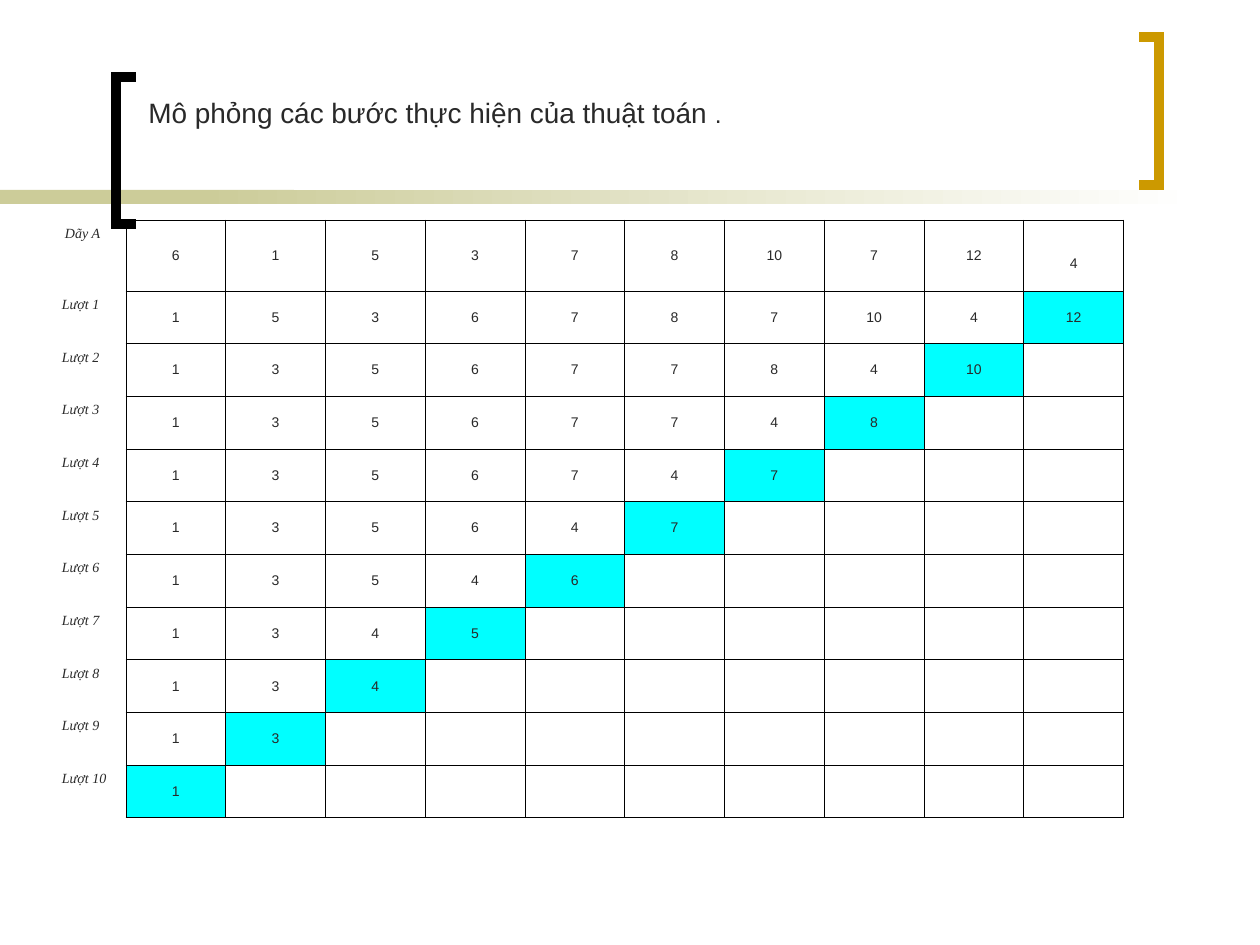
from lxml import etree
from pptx import Presentation, util as u
from pptx.dml.color import RGBColor
from pptx.enum import shapes, text
from pptx.oxml.ns import qn

TITLE = [("Mô phỏng các bước thực hiện của thuật toán ", "title"), (".", "dot")]
ROWS = [
    ("Dãy A", [6, 1, 5, 3, 7, 8, 10, 7, 12, 4]),
    ("Lượt 1", [1, 5, 3, 6, 7, 8, 7, 10, 4, 12]),
    ("Lượt 2", [1, 3, 5, 6, 7, 7, 8, 4, 10]),
    ("Lượt 3", [1, 3, 5, 6, 7, 7, 4, 8]),
    ("Lượt 4", [1, 3, 5, 6, 7, 4, 7]),
    ("Lượt 5", [1, 3, 5, 6, 4, 7]),
    ("Lượt 6", [1, 3, 5, 4, 6]),
    ("Lượt 7", [1, 3, 4, 5]),
    ("Lượt 8", [1, 3, 4]),
    ("Lượt 9", [1, 3]),
    ("Lượt 10", [1]),
]
BARS = [((0, 190, 294, 14), False), ((199, 190, 998, 14), True)]
BRACKETS = [
    ("black", [(136, 224), (116, 224), (116, 77), (136, 77)]),
    ("gold", [(1139, 37), (1159, 37), (1159, 185), (1139, 185)]),
]
THEME = {
    "black": "000000", "gold": "CC9900", "sand": "CCCC99", "white": "FFFFFF",
    "text": "292929", "done": "00FFFF", "title": 16, "dot": 14, "cell": 8,
    "sans": "Arial", "serif": "Times New Roman", "grid": 0.45, "bracket": 6,
}
UNIT = u.Inches(1) / 126


def px(n):
    return u.Emu(round(n * UNIT))


def tone(name):
    return RGBColor.from_string(THEME[name])


def put(obj, **vals):
    for key, val in vals.items():
        setattr(obj, key, val)


def write(para, words, size, font="sans", italic=False):
    run = para.add_run()
    run.text = words
    put(run.font, size=u.Pt(THEME[size]), name=THEME[font], italic=italic)
    run.font.color.rgb = tone("text")


def border(cell, drawn):
    props = cell._tc.get_or_add_tcPr()
    for side in "LRTB":
        line = etree.SubElement(props, qn(f"a:ln{side}"), w=str(u.Pt(THEME["grid"])))
        if side in drawn:
            fill = etree.SubElement(line, qn("a:solidFill"))
            etree.SubElement(fill, qn("a:srgbClr"), val=THEME["black"])
        else:
            etree.SubElement(line, qn("a:noFill"))


def add_bar(slide, box, fade):
    bar = slide.shapes.add_shape(shapes.MSO_SHAPE.RECTANGLE, *map(px, box))
    bar.shadow.inherit = False
    bar.line.fill.background()
    if fade:
        bar.fill.gradient()
        bar.fill.gradient_angle = 0
        for stop, name in zip(bar.fill.gradient_stops, ("sand", "white")):
            stop.color.rgb = tone(name)
    else:
        bar.fill.solid()
        bar.fill.fore_color.rgb = tone("sand")


def add_bracket(slide, name, points):
    pen = slide.shapes.build_freeform(*points[0], scale=UNIT)
    pen.add_line_segments(points[1:], close=False)
    mark = pen.convert_to_shape()
    mark.shadow.inherit = False
    mark.fill.background()
    mark.line.width = u.Pt(THEME["bracket"])
    mark.line.color.rgb = tone(name)
    etree.SubElement(mark.line._get_or_add_ln(), qn("a:miter"), lim="800000")


def add_steps(slide):
    count = len(ROWS[0][1])
    table = slide.shapes.add_table(len(ROWS), count + 1, *map(px, (53, 220, 1071, 598))).table
    put(table, first_row=False, horz_banding=False)
    for i, col in enumerate(table.columns):
        col.width = px(998 / count if i else 73)
    for i, row in enumerate(table.rows):
        row.height = px(527 / (len(ROWS) - 1) if i else 71)
    for r, (label, nums) in enumerate(ROWS):
        for c in range(count + 1):
            cell = table.cell(r, c)
            border(cell, "LRTB" if c else "R")
            cell.fill.background()
            put(cell, margin_left=px(9), margin_right=px(9),
                margin_top=px(6), margin_bottom=px(6))
            para = cell.text_frame.paragraphs[0]
            if c == 0:
                write(para, label, "cell", "serif", True)
            elif c <= len(nums):
                cell.vertical_anchor = text.MSO_ANCHOR.MIDDLE
                para.alignment = text.PP_ALIGN.CENTER
                write(para, str(nums[c - 1]), "cell")
                if r and c == len(nums):
                    cell.fill.solid()
                    cell.fill.fore_color.rgb = tone("done")
    table.cell(0, 0).margin_left = px(12)
    table.cell(0, count).margin_top = px(22)


def add_title(slide):
    frame = slide.shapes.add_textbox(*map(px, (136, 88, 809, 76))).text_frame
    put(frame, word_wrap=True, margin_top=px(8), vertical_anchor=text.MSO_ANCHOR.TOP)
    for words, size in TITLE:
        write(frame.paragraphs[0], words, size)


def main():
    deck = Presentation()
    put(deck, slide_width=px(1260), slide_height=px(945))
    slide = deck.slides.add_slide(deck.slide_layouts[6])
    for box, fade in BARS:
        add_bar(slide, box, fade)
    for name, points in BRACKETS:
        add_bracket(slide, name, points)
    add_steps(slide)
    add_title(slide)
    deck.save("out.pptx")


if __name__ == "__main__":
    main()
